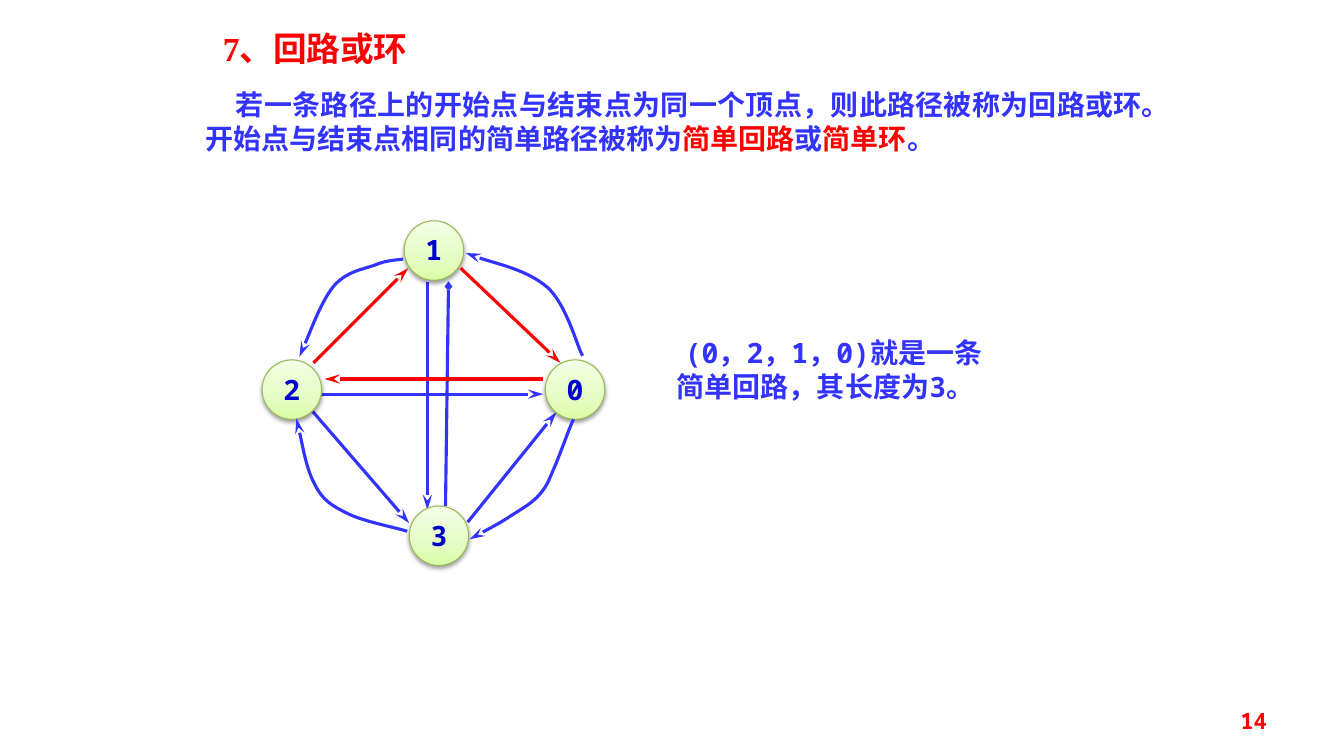
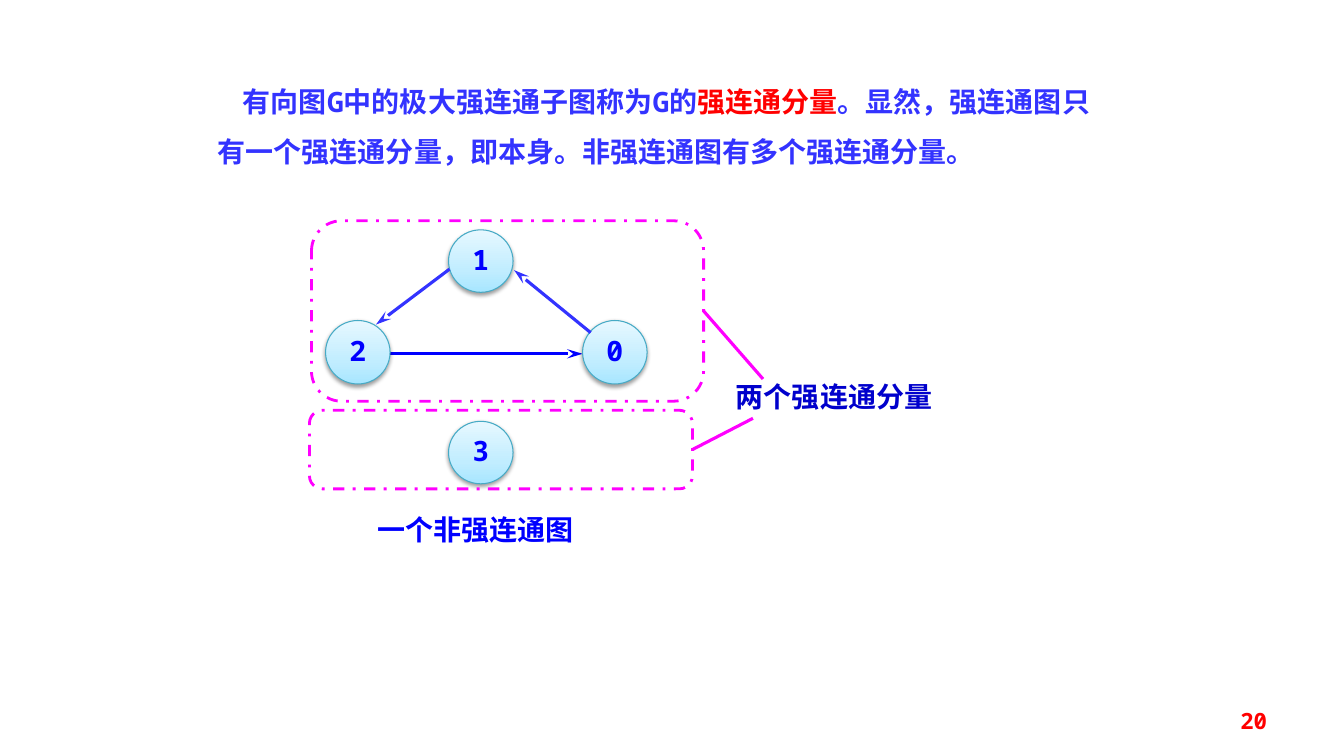
from dataclasses import dataclass

from lxml import etree
from pptx import Presentation
from pptx import util as u
from pptx.dml.color import RGBColor
from pptx.enum import dml, shapes, text
from pptx.oxml import ns

# Shared scale, colours and fonts
PX = 9144  # EMU in one px, 100 px to the inch
RED = RGBColor(0xFF, 0x00, 0x00)
BLUE = RGBColor(0x33, 0x33, 0xFF)
NAVY = RGBColor(0x00, 0x00, 0xCC)
PURE = RGBColor(0x00, 0x00, 0xFF)
PINK = RGBColor(0xFF, 0x00, 0xFF)
MONO = "Noto Sans Mono"
SERIF = "Times New Roman"
LEFT, MID, RIGHT, JUST = (text.PP_ALIGN.LEFT, text.PP_ALIGN.CENTER,
                          text.PP_ALIGN.RIGHT, text.PP_ALIGN.JUSTIFY)


@dataclass(frozen=True)
class Box:
    x: int
    y: int
    w: int
    h: int

    def emu(self) -> list[int]:
        return [v * PX for v in (self.x, self.y, self.w, self.h)]


@dataclass(frozen=True)
class Look:
    """Colours of a node; stops run from bottom to top."""
    stops: tuple[tuple[int, RGBColor], ...]
    rim: RGBColor
    ink: RGBColor


@dataclass(frozen=True)
class Node:
    label: str
    box: Box


@dataclass(frozen=True)
class Edge:
    x1: int
    y1: int
    x2: int
    y2: int
    color: RGBColor = BLUE
    tip: str = "stealth"


GREEN = Look(((0, RGBColor(0xDA, 0xFD, 0xA7)), (35, RGBColor(0xE4, 0xFC, 0xC2)),
              (100, RGBColor(0xF5, 0xFF, 0xE7))), RGBColor(0x98, 0xB9, 0x55), NAVY)
CYAN = Look(((0, RGBColor(0xA7, 0xE6, 0xFF)), (35, RGBColor(0xC1, 0xED, 0xFF)),
             (100, RGBColor(0xE7, 0xF8, 0xFF))), RGBColor(0x46, 0xAA, 0xC5), PURE)


# Text
def sub(parent, tag: str, **attrs):
    return etree.SubElement(parent, ns.qn(tag), {k: str(v) for k, v in attrs.items()})


def write(shape, parts: list[tuple[str, RGBColor]], align=LEFT, size: int = 20,
          font: str = MONO, indent: int = 0, space: float = 1.0,
          anchor=text.MSO_ANCHOR.TOP) -> None:
    """Fill a shape with one bold paragraph of coloured parts."""
    frame = shape.text_frame
    frame.word_wrap = True
    frame.auto_size = text.MSO_AUTO_SIZE.NONE
    frame.vertical_anchor = anchor
    frame.text = parts[0][0]
    para = frame.paragraphs[0]
    for words, _ in parts[1:]:
        para.add_run().text = words
    para.alignment = align
    para.line_spacing = space
    para.space_before = u.Pt(0)
    ppr = para._p.get_or_add_pPr()
    ppr.set("marL", "0")
    ppr.set("indent", str(indent * PX))
    sub(ppr, "a:buNone")
    for run, (_, color) in zip(para.runs, parts):
        run.font.size = u.Pt(size)
        run.font.bold = True
        run.font.color.rgb = color
        run.font.name = font
        sub(run._r.get_or_add_rPr(), "a:ea", typeface=MONO)


def place(shape, box: Box):
    shape.left, shape.top, shape.width, shape.height = box.emu()
    return shape


def label(slide, box: Box, words: str, color: RGBColor, **style) -> None:
    write(slide.shapes.add_textbox(*box.emu()), [(words, color)], **style)


def page(slide, number: str) -> None:
    label(slide, Box(956, 695, 311, 40), number, RED, align=RIGHT, size=16,
          anchor=text.MSO_ANCHOR.MIDDLE)


# Lines
def stroke(shape, color: RGBColor, tip: str = "") -> None:
    shape.line.color.rgb = color
    shape.line.width = u.Pt(2.25)
    if tip:
        small = tip == "arrow"
        sub(shape.line._get_or_add_ln(), "a:tailEnd", type=tip,
            w="sm" if small else "med", len="sm" if small else "lg")


def link(slide, edge: Edge):
    ends = [v * PX for v in (edge.x1, edge.y1, edge.x2, edge.y2)]
    line = slide.shapes.add_connector(shapes.MSO_CONNECTOR.STRAIGHT, *ends)
    stroke(line, edge.color, edge.tip)
    sub(line._element.spPr, "a:effectLst")
    return line


def bend(slide, pts: list[tuple[int, int]]) -> None:
    """Draw an arrow along joined cubic curves: a start, then three points each."""
    pen = slide.shapes.build_freeform(*pts[0], scale=float(1 / PX) ** -1)
    pen.add_line_segments(pts[1:], close=False)
    curve = pen.convert_to_shape()
    path = curve._element.spPr.find(".//" + ns.qn("a:path"))
    legs = path.findall(ns.qn("a:lnTo"))
    for i in range(0, len(legs), 3):
        cubic = sub(path, "a:cubicBezTo")
        for leg in legs[i:i + 3]:
            cubic.append(leg[0])
            path.remove(leg)
    curve.shadow.inherit = False
    curve.fill.background()
    stroke(curve, BLUE, "stealth")


# Shapes
def ball(slide, node: Node, look: Look) -> None:
    disc = slide.shapes.add_shape(shapes.MSO_SHAPE.OVAL, *node.box.emu())
    disc.fill.gradient()
    disc.fill.gradient_angle = 90
    props = disc._element.spPr
    stops = props.find(".//" + ns.qn("a:gsLst"))
    for old in list(stops):
        stops.remove(old)
    for pos, color in look.stops:
        sub(sub(stops, "a:gs", pos=pos * 1000), "a:srgbClr", val=color)
    disc.line.color.rgb = look.rim
    disc.line.width = u.Pt(0.75)
    disc.shadow.inherit = False
    shade = sub(props.find(ns.qn("a:effectLst")), "a:outerShdw", blurRad=u.Pt(3.1),
                dist=u.Pt(1.6), dir=5400000, rotWithShape=0)
    sub(sub(shade, "a:srgbClr", val="000000"), "a:alpha", val=38000)
    frame = disc.text_frame
    frame.margin_left = frame.margin_right = frame.margin_bottom = 0
    frame.margin_top = 12 * PX
    write(disc, [(node.label, look.ink)], align=MID, space=0.72)


def ring(slide, box: Box):
    frame = slide.shapes.add_shape(shapes.MSO_SHAPE.ROUNDED_RECTANGLE, *box.emu())
    frame.shadow.inherit = False
    frame.fill.background()
    frame.line.color.rgb = PINK
    frame.line.width = u.Pt(2)
    frame.line.dash_style = dml.MSO_LINE.DASH_DOT
    return frame


# Slide: cycles
def cycle(deck) -> None:
    slide = deck.slides.add_slide(deck.slide_layouts[1])
    title = place(slide.shapes.title, Box(194, 23, 949, 50))
    write(title, [("7、回路或环", RED)], align=JUST, size=24, font=SERIF, indent=17)
    body = place(slide.placeholders[1], Box(194, 82, 949, 84))
    write(body, [("若一条路径上的开始点与结束点为同一个顶点，则此路径被称为回路或环。"
                  "开始点与结束点相同的简单路径被称为", BLUE), ("简单回路", RED),
                 ("或", BLUE), ("简单环", RED), ("。", BLUE)], align=JUST, indent=30)

    for edge in (Edge(424, 280, 424, 506), Edge(442, 502, 445, 279, tip="arrow"),
                 Edge(318, 391, 539, 391), Edge(310, 408, 406, 519),
                 Edge(464, 518, 552, 409)):
        link(slide, edge)
    for name, x, y in (("1", 401, 219), ("0", 541, 357), ("2", 260, 357), ("3", 406, 502)):
        ball(slide, Node(name, Box(x, y, 59, 59)), GREEN)
    for pts in (
        [(569, 416), (565, 424), (555, 453), (549, 466), (544, 478), (542, 483),
         (535, 491), (528, 499), (519, 504), (508, 511), (496, 519), (475, 530), (466, 535)],
        [(400, 257), (395, 258), (383, 258), (372, 263), (361, 267), (344, 269),
         (331, 284), (319, 299), (304, 339), (297, 354)],
        [(404, 527), (391, 523), (359, 517), (344, 509), (328, 501), (320, 496),
         (312, 480), (304, 465), (297, 426), (294, 415)],
        [(578, 353), (572, 342), (562, 302), (543, 285), (523, 268), (478, 258), (462, 251)],
    ):
        bend(slide, pts)
    for edge in (Edge(539, 376, 322, 376, RED), Edge(311, 360, 405, 266, RED),
                 Edge(457, 266, 556, 360, RED)):
        link(slide, edge)

    label(slide, Box(651, 328, 336, 77), "(0，2，1，0)就是一条简单回路，其长度为3。",
          BLUE, align=MID, indent=16)
    page(slide, "14")


# Slide: strongly connected components
def strong(deck) -> None:
    slide = deck.slides.add_slide(deck.slide_layouts[1])
    empty = slide.shapes.title._element
    empty.getparent().remove(empty)
    body = place(slide.placeholders[1], Box(206, 62, 910, 105))
    write(body, [("有向图G中的极大强连通子图称为G的", BLUE), ("强连通分量", RED),
                 ("。显然，强连通图只有一个强连通分量，即本身。非强连通图有多个强连通分量。",
                  BLUE)], indent=25, space=1.5)

    link(slide, Edge(387, 351, 578, 351, PURE))
    for name, x, y, h in (("1", 445, 228, 62), ("0", 578, 318, 63),
                          ("2", 323, 318, 63), ("3", 445, 418, 62)):
        ball(slide, Node(name, Box(x, y, 64, h)), CYAN)
    for edge in (Edge(446, 267, 373, 322), Edge(586, 330, 510, 268)):
        link(slide, edge)
    label(slide, Box(362, 504, 219, 44), "一个非强连通图", PURE, align=MID)

    label(slide, Box(714, 372, 227, 44), "两个强连通分量", NAVY, align=MID)
    for box, edge in ((Box(309, 219, 389, 179), Edge(697, 308, 757, 376, PINK, "")),
                      (Box(307, 407, 380, 78), Edge(687, 446, 747, 415, PINK, ""))):
        link(slide, edge).begin_connect(ring(slide, box), 3)
    page(slide, "20")


def main() -> None:
    deck = Presentation()
    deck.slide_width, deck.slide_height = u.Emu(12192000), 750 * PX
    cycle(deck)
    strong(deck)
    deck.save("out.pptx")


if __name__ == "__main__":
    main()
